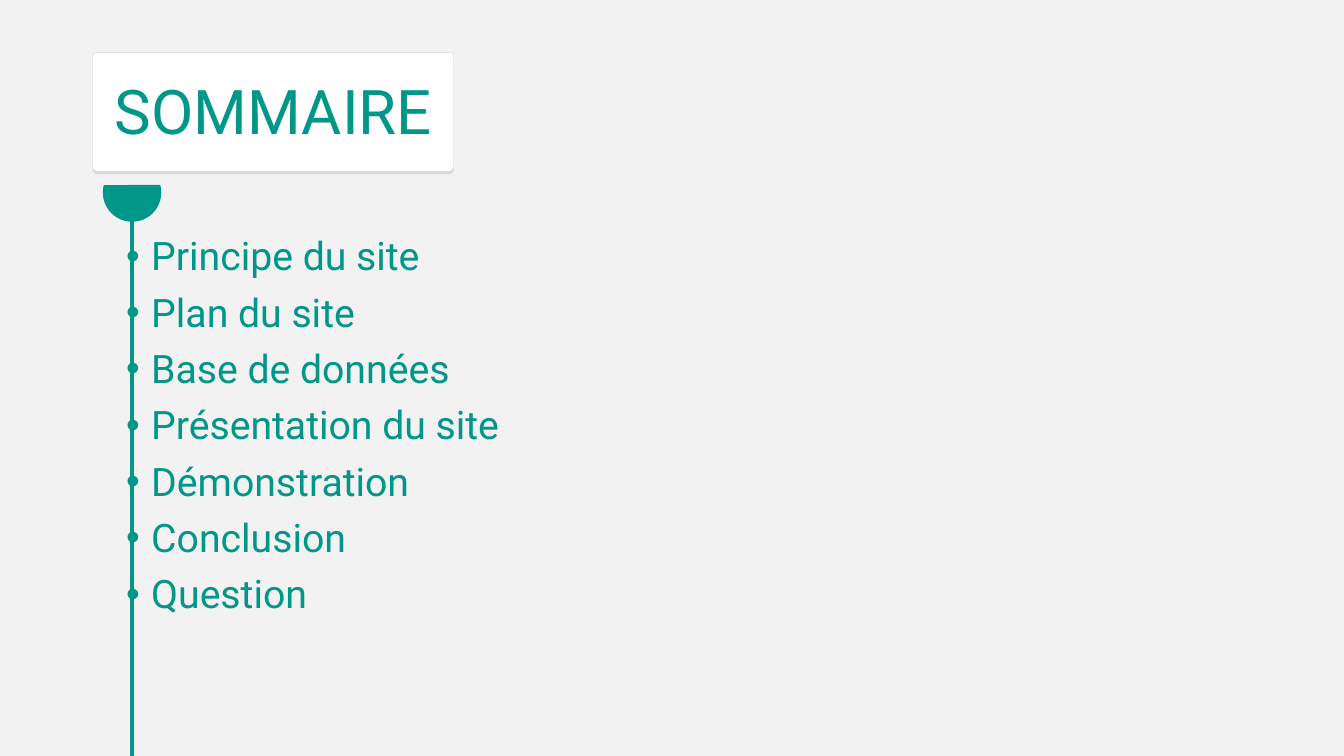
from lxml import etree
from pptx import Presentation
from pptx.dml.color import RGBColor
from pptx.enum.shapes import MSO_CONNECTOR, MSO_SHAPE
from pptx.enum.text import MSO_ANCHOR, MSO_AUTO_SIZE, PP_ALIGN
from pptx.oxml.ns import qn
from pptx.util import Inches, Pt

TITLE = "SOMMAIRE"
TOPICS = [
    "Principe du site",
    "Plan du site",
    "Base de données",
    "Présentation du site",
    "Démonstration",
    "Conclusion",
    "Question",
]

COLORS = {"background": "F2F2F2", "teal": "009688", "edge": "D9D9D9", "card": "FFFFFF"}
FONT = "Roboto"
STRAIGHT = MSO_CONNECTOR.STRAIGHT
ROUNDED = MSO_SHAPE.ROUNDED_RECTANGLE
CHORD = MSO_SHAPE.CHORD
MIDDLE, TOP = MSO_ANCHOR.MIDDLE, MSO_ANCHOR.TOP
LEFT = PP_ALIGN.LEFT
NO_AUTOFIT = MSO_AUTO_SIZE.NONE

SLIDE_WIDTH, SLIDE_HEIGHT = 13.33, 7.5
TIMELINE_X = 1.31
KNOB_SIZE, KNOB_TOP = 0.58, 1.62
CARD_LEFT, CARD_TOP, CARD_WIDTH, CARD_HEIGHT = 0.92, 0.52, 3.58, 1.18
CARD_DEPTH = 0.03
BULLET_INDENT = 0.25


def color(name):
    return RGBColor.from_string(COLORS[name])


def add_filled_shape(shapes, kind, box, fill, adjustments, line=None):
    shape = shapes.add_shape(kind, *map(Inches, box))
    shape.shadow.inherit = False
    shape.fill.solid()
    shape.fill.fore_color.rgb = color(fill)
    if line:
        shape.line.color.rgb = color(line)
        shape.line.width = Pt(0.25)
    else:
        shape.line.fill.background()
    for index, value in enumerate(adjustments):
        shape.adjustments[index] = value
    return shape


def add_timeline(slide):
    line = slide.shapes.add_connector(
        STRAIGHT, Inches(TIMELINE_X), Inches(2.14), Inches(TIMELINE_X), Inches(SLIDE_HEIGHT))
    line.line.color.rgb = color("teal")
    line.line.width = Pt(3)
    etree.SubElement(line.element.spPr, qn("a:effectLst"))


def add_title_card(slide):
    card = slide.shapes.add_group_shape()
    layers = [("edge", CARD_HEIGHT + CARD_DEPTH, None), ("card", CARD_HEIGHT, "edge")]
    for fill, height, line in layers:
        box = (CARD_LEFT, CARD_TOP, CARD_WIDTH, height)
        add_filled_shape(card.shapes, ROUNDED, box, fill, [0.04], line)


def add_bullet(paragraph):
    properties = paragraph._p.get_or_add_pPr()
    properties.set("marL", str(Inches(BULLET_INDENT)))
    properties.set("indent", str(-Inches(BULLET_INDENT)))
    etree.SubElement(properties, qn("a:buFont"), typeface="Arial")
    etree.SubElement(properties, qn("a:buChar"), char="•")


def write_text(placeholder, lines, box, size, anchor=TOP, space_before=0, bulleted=False):
    """Place the placeholder in front of the other shapes and fill it with lines."""
    placeholder.left, placeholder.top, placeholder.width, placeholder.height = map(Inches, box)
    placeholder.element.getparent().append(placeholder.element)
    frame = placeholder.text_frame
    frame.text = "\n".join(lines)
    frame.word_wrap = True
    frame.auto_size = NO_AUTOFIT
    frame.vertical_anchor = anchor
    for paragraph in frame.paragraphs:
        paragraph.alignment = LEFT
        paragraph.line_spacing = 0.9
        paragraph.space_before = Pt(space_before)
        if bulleted:
            add_bullet(paragraph)
        for run in paragraph.runs:
            run.font.name = FONT
            run.font.size = Pt(size)
            run.font.color.rgb = color("teal")


def main():
    presentation = Presentation()
    presentation.slide_width = Inches(SLIDE_WIDTH)
    presentation.slide_height = Inches(SLIDE_HEIGHT)
    slide = presentation.slides.add_slide(presentation.slide_layouts[1])
    slide.background.fill.solid()
    slide.background.fill.fore_color.rgb = color("background")
    title, body = slide.placeholders

    add_timeline(slide)
    add_title_card(slide)
    write_text(title, [TITLE], (1.04, 0.41, 11.5, 1.45), 44, anchor=MIDDLE)
    write_text(body, TOPICS, (1.15, 2.3, 11.27, 4.46), 28, space_before=10, bulleted=True)
    knob_box = (TIMELINE_X - KNOB_SIZE / 2, KNOB_TOP, KNOB_SIZE, KNOB_SIZE)
    knob = add_filled_shape(slide.shapes, CHORD, knob_box, "teal", [27, 152.89])
    knob.rotation = 300

    presentation.save("out.pptx")


if __name__ == "__main__":
    main()
